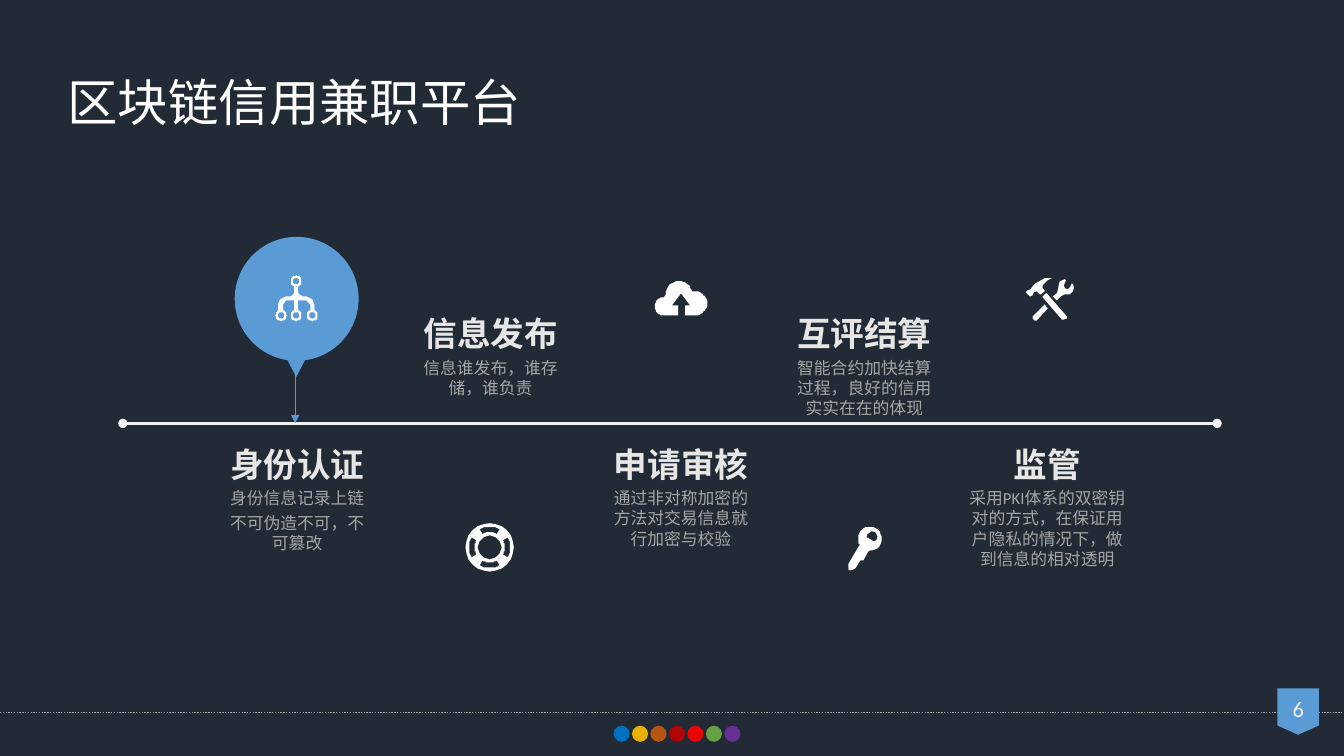
"""Build the blockchain part-time credit platform timeline slide."""
from dataclasses import dataclass
from math import cos, radians, sin

from lxml.etree import SubElement
from pptx import Presentation
from pptx.dml.color import RGBColor
from pptx.enum.dml import MSO_LINE
from pptx.enum.shapes import MSO_CONNECTOR, MSO_SHAPE as Kind
from pptx.enum.text import MSO_ANCHOR, PP_ALIGN as Align
from pptx.oxml.ns import qn
from pptx.util import Inches, Pt

Point = tuple[float, float]
Path = list[Point]
HUES = {
    "back": "222A35", "blue": "5B9BD5", "white": "FFFFFF", "pale": "F2F2F2",
    "head": "E7E6E6", "grey": "A6A6A6",
}
DOTS = ["0070C0", "FFC000", "C55A11", "C00000", "FF0000", "70AD47", "7030A0"]
FONT = "Calibri"
ABOVE, BELOW = 3.06, 4.35


@dataclass
class Stage:
    """Hold a timeline step with its text box."""
    left: float
    top: float
    width: float
    head: str
    notes: list[str]


@dataclass
class Icon:
    """Hold an icon whose paths count in hundredths of an inch."""
    left: float
    top: float
    paths: list[Path]


@dataclass
class Line:
    """Hold a straight line with optional end marks."""
    start: Point
    end: Point
    hue: str
    width: float
    head: str = ""
    tail: str = ""
    dotted: bool = False


def arc(x: float, y: float, r: float, first: int = 0, last: int = 360) -> Path:
    """Return points along a circular arc, in clockwise degrees."""
    steps = 24
    turns = [radians(first + (last - first) * i / steps) for i in range(steps + 1)]
    return [(x + r * cos(t), y + r * sin(t)) for t in turns]


def slot(mid: int) -> Path:
    """Return one slot of the life ring."""
    return arc(24, 24, 20.5, mid - 28, mid + 28) + arc(24, 24, 15, mid + 28, mid - 28)


STAGES = [
    Stage(4.07, ABOVE, 1.6, "信息发布", ["信息谁发布，谁存储，谁负责"]),
    Stage(7.78, ABOVE, 1.6, "互评结算", ["智能合约加快结算过程，良好的信用实实在在的体现"]),
    Stage(2.15, BELOW, 1.6, "身份认证", ["身份信息记录上链", "不可伪造不可，不可篡改"]),
    Stage(5.96, BELOW, 1.6, "申请审核", ["通过非对称加密的方法对交易信息就行加密与校验"]),
    Stage(9.49, BELOW, 1.81, "监管",
          ["采用PKI体系的双密钥对的方式，在保证用户隐私的情况下，做到信息的相对透明"]),
]
NODES = [(21, 6), (6, 40), (21, 40), (37, 40)]
STEM = [(19, 11), (19, 18), (16, 21), (11, 21), (5, 24), (3, 29), (3, 35), (8, 35),
        (8, 29), (11, 25), (19, 25), (19, 35), (23, 35), (23, 25), (31, 25), (35, 29),
        (35, 35), (39, 35), (39, 29), (37, 24), (31, 21), (27, 21), (23, 18), (23, 11)]
ARROW = [(30, 34), (30, 24), (35, 24), (26, 12), (17, 24), (23, 24), (23, 34)]
SHAFT = [(21, 25), (16, 34), (13, 34), (8, 42), (6, 43), (3, 44), (1, 43), (1, 38),
         (2, 36), (12, 19)]
HOLE = [(20, 8), (24, 5), (28, 6), (30, 10), (29, 14), (26, 15), (23, 13), (19, 11)]
HAMMER = [(8, 14), (11, 13), (14, 16), (15, 16), (19, 13), (19, 12), (17, 10), (17, 7),
          (22, 2), (26, 0), (19, 0), (10, 5), (7, 8), (5, 11), (2, 12), (0, 14),
          (4, 18), (5, 18), (7, 17)]
HANDLE = [(21, 15), (20, 15), (17, 18), (17, 19), (36, 41), (38, 41), (41, 40), (41, 38)]
WRENCH = [(47, 6), (46, 5), (44, 9), (42, 11), (39, 10), (38, 7), (40, 2), (39, 1),
          (34, 3), (33, 6), (32, 12), (31, 15), (27, 18), (31, 22), (35, 18), (39, 16),
          (44, 16), (47, 13), (48, 9)]
GRIP = [(7, 38), (7, 40), (9, 42), (11, 42), (22, 30), (19, 26)]
ICONS = [
    Icon(2.73, 2.73, [STEM] + [arc(x, y, r) for x, y in NODES for r in (5.5, 3.3)]),
    Icon(4.62, 5.19, [arc(24, 24, 24), arc(24, 24, 11.5)]
         + [slot(mid) for mid in range(0, 360, 90)]),
    Icon(6.5, 2.79, [arc(9.5, 25, 9.5, 90, 270) + arc(24, 13, 13, 180, 345)
                     + arc(40, 22, 12, 270, 450) + ARROW]),
    Icon(8.41, 5.22, [arc(22.5, 12.5, 12, 145, 450) + SHAFT, HOLE]),
    Icon(10.18, 2.76, [HAMMER, HANDLE, WRENCH, GRIP]),
]
AXIS = Line((1.22, 4.2), (12.08, 4.2), HUES["pale"], 2.25, "oval", "oval")
DROP = Line((2.93, 3.68), (2.93, 4.2), HUES["blue"], 0.5, tail="triangle")
FOOT = Line((0, 7.07), (13.33, 7.07), HUES["grey"], 1, dotted=True)


def paint(shape, hue: str) -> None:
    """Give a shape a plain fill with no line or shadow."""
    shape.shadow.inherit = False
    shape.fill.solid()
    shape.fill.fore_color.rgb = RGBColor.from_string(hue)
    shape.line.fill.background()


def add_form(slide, kind: Kind, box: tuple[float, ...], hue: str):
    """Add a plain preset shape."""
    shape = slide.shapes.add_shape(kind, *map(Inches, box))
    paint(shape, hue)
    return shape


def add_line(slide, line: Line) -> None:
    """Add a connector with its end marks."""
    ends = map(Inches, line.start + line.end)
    link = slide.shapes.add_connector(MSO_CONNECTOR.STRAIGHT, *ends)
    link.line.color.rgb = RGBColor.from_string(line.hue)
    link.line.width = Pt(line.width)
    if line.dotted:
        link.line.dash_style = MSO_LINE.ROUND_DOT
    props = link.line._get_or_add_ln()
    for tag, mark in (("a:headEnd", line.head), ("a:tailEnd", line.tail)):
        if mark:
            SubElement(props, qn(tag), type=mark)
    SubElement(link._element.spPr, qn("a:effectLst"))


def add_icon(slide, icon: Icon) -> None:
    """Add an icon as one white outline."""
    unit = Inches(0.01)
    first = icon.paths[0]
    form = slide.shapes.build_freeform(*first[0], scale=unit)
    form.add_line_segments(first[1:])
    for path in icon.paths[1:]:
        form.move_to(*path[0])
        form.add_line_segments(path[1:])
    paint(form.convert_to_shape(Inches(icon.left), Inches(icon.top)), HUES["white"])


def add_run(para, text: str, size: float, hue: str, bold: bool = False) -> None:
    """Add a formatted run to a paragraph."""
    run = para.add_run()
    run.text = text
    run.font.name, run.font.size, run.font.bold = FONT, Pt(size), bold
    run.font.color.rgb = RGBColor.from_string(hue)


def add_box(slide, *box: float):
    """Add a wrapping text box and return its frame."""
    frame = slide.shapes.add_textbox(*map(Inches, box)).text_frame
    frame.word_wrap = True
    frame.paragraphs[0].alignment = Align.CENTER
    return frame


def add_stage(slide, stage: Stage) -> None:
    """Add the heading and notes of a step."""
    frame = add_box(slide, stage.left, stage.top, stage.width, 0.74)
    add_run(frame.paragraphs[0], stage.head, 24, HUES["head"], True)
    for note in stage.notes:
        para = frame.add_paragraph()
        para.alignment, para.space_before = Align.CENTER, Pt(3)
        add_run(para, note, 12, HUES["grey"])


def add_title(slide) -> None:
    """Fill and place the title."""
    title = slide.shapes.title
    title.left, title.top, title.width, title.height = map(Inches, (0.57, 0.36, 6.6, 1))
    title.text_frame.vertical_anchor = MSO_ANCHOR.TOP
    para = title.text_frame.paragraphs[0]
    para.alignment, para.line_spacing = Align.LEFT, 1.5
    add_run(para, "区块链信用兼职平台", 36, HUES["white"])


def add_foot(slide) -> None:
    """Add the dotted rule, page badge and colour dots."""
    add_line(slide, FOOT)
    add_form(slide, Kind.FLOWCHART_OFFPAGE_CONNECTOR, (12.68, 6.83, 0.41, 0.46), HUES["blue"])
    para = add_box(slide, 12.59, 6.88, 0.59, 0.37).paragraphs[0]
    para.line_spacing = 0.9
    add_run(para, "6", 16, HUES["pale"])
    for i, hue in enumerate(DOTS):
        dot = add_form(slide, Kind.OVAL, (6.09 + 1.1 * i / 6, 7.2, 0.16, 0.16), hue)
        if i:
            tint = dot._element.spPr.find(qn("a:solidFill"))[0]
            SubElement(tint, qn("a:alpha"), val="90000")


def main() -> None:
    """Build and save the slide."""
    deck = Presentation()
    deck.slide_width, deck.slide_height = Inches(13.34), Inches(7.5)
    slide = deck.slides.add_slide(deck.slide_layouts[5])
    slide.background.fill.solid()
    slide.background.fill.fore_color.rgb = RGBColor.from_string(HUES["back"])
    add_title(slide)
    add_foot(slide)
    add_line(slide, AXIS)
    add_form(slide, Kind.OVAL, (2.33, 2.35, 1.23, 1.23), HUES["blue"])
    add_form(slide, Kind.ISOSCELES_TRIANGLE, (2.81, 3.49, 0.26, 0.25), HUES["blue"]).rotation = 180
    add_line(slide, DROP)
    for stage in STAGES:
        add_stage(slide, stage)
    for icon in ICONS:
        add_icon(slide, icon)
    deck.save("out.pptx")


if __name__ == "__main__":
    main()
